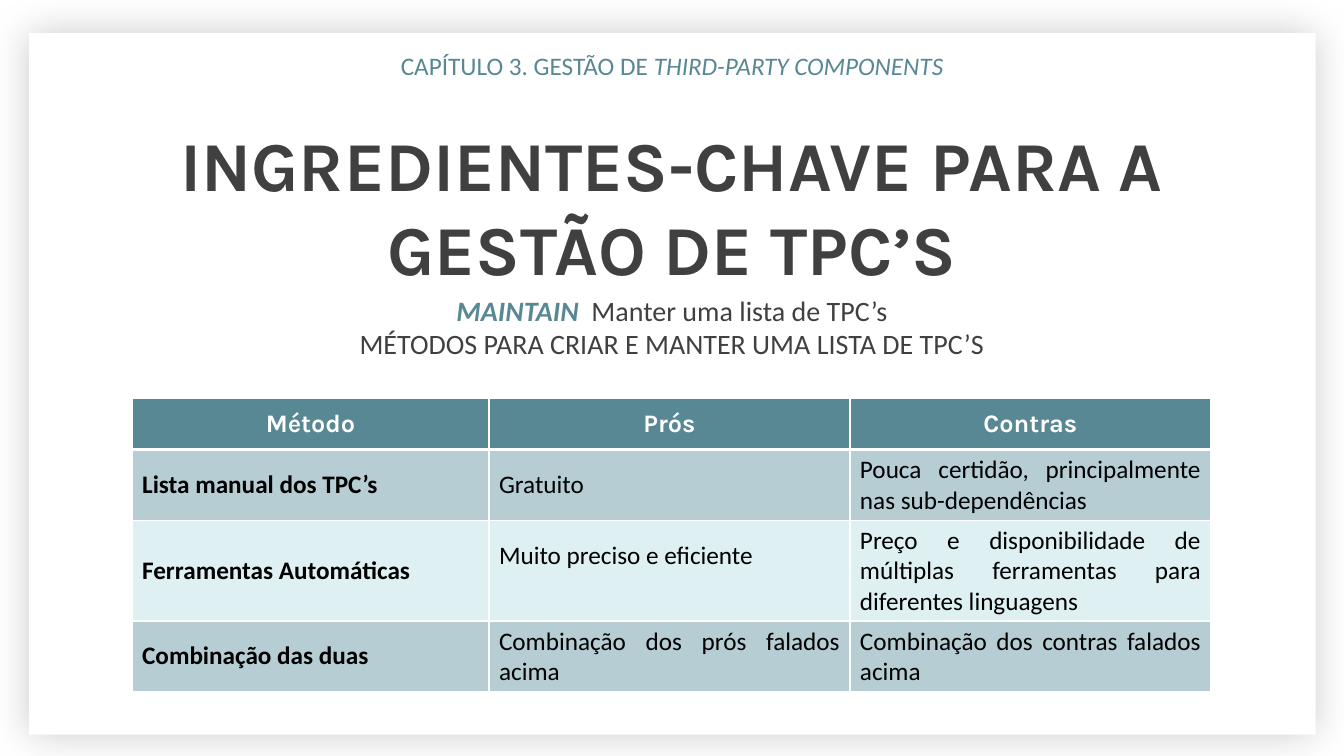
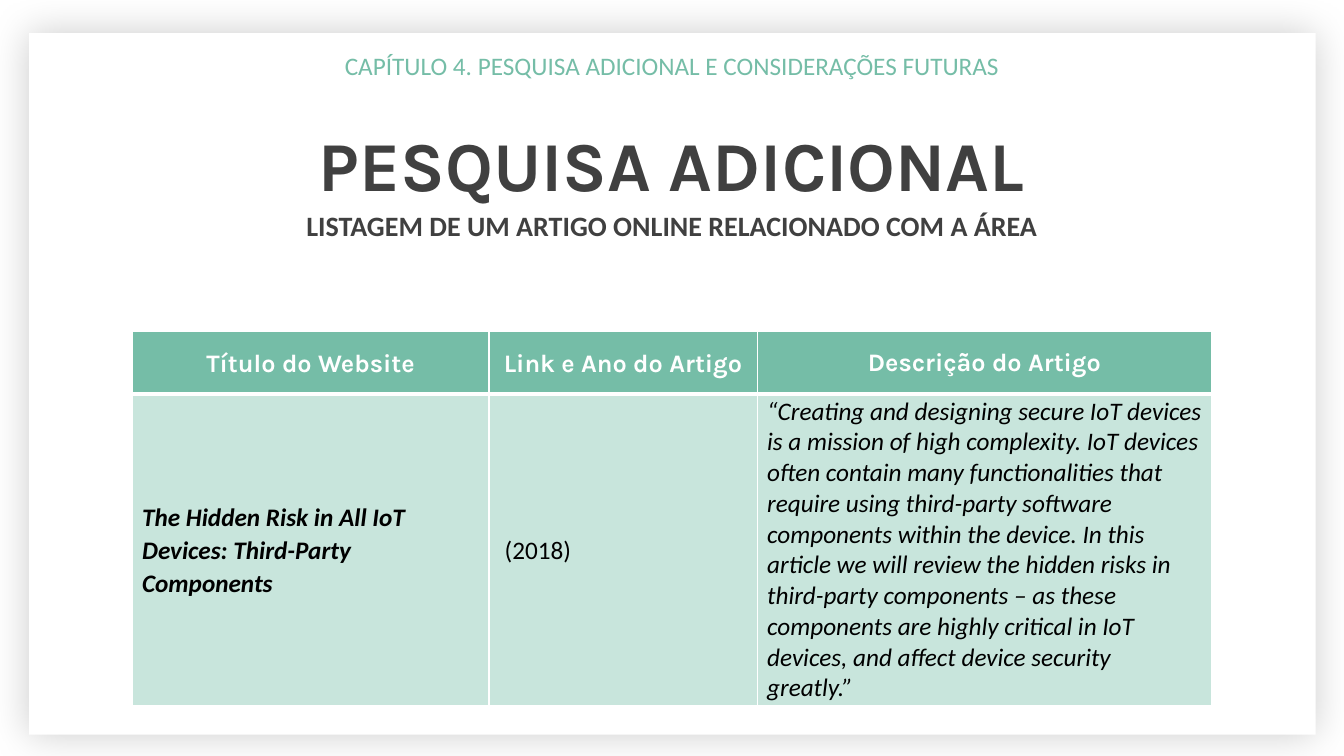
from lxml import etree
from pptx import Presentation
from pptx.dml.color import RGBColor
from pptx.enum.shapes import MSO_SHAPE
from pptx.enum.text import MSO_ANCHOR, PP_ALIGN
from pptx.oxml import parse_xml
from pptx.util import Inches, Pt

CENTER, JUSTIFY, LEFT = PP_ALIGN.CENTER, PP_ALIGN.JUSTIFY, PP_ALIGN.LEFT
TOP, MIDDLE = MSO_ANCHOR.TOP, MSO_ANCHOR.MIDDLE
RECTANGLE = MSO_SHAPE.RECTANGLE
TITLE_ONLY = 5
DRAWING_NS = "http://schemas.openxmlformats.org/drawingml/2006/main"
COLORS = {
    "white": "FFFFFF", "black": "000000", "dark": "404040",
    "teal": "588894", "teal_mid": "B5CDD3", "teal_light": "DEF0F2",
    "green": "75BDA7", "green_light": "C8E5DC",
}
HEADING_FONT, BODY_FONT = "Karla", "Calibri"
CARD_SHADOW = (
    f'<a:effectLst xmlns:a="{DRAWING_NS}">'
    '<a:outerShdw blurRad="368300" dist="0" dir="0" algn="ctr" rotWithShape="0">'
    f'<a:srgbClr val="{COLORS["black"]}"><a:alpha val="20000"/></a:srgbClr>'
    '</a:outerShdw></a:effectLst>'
)


def write(frame, paragraphs, align=CENTER, anchor=TOP, spacing=None, **base):
    frame.word_wrap = True
    frame.vertical_anchor = anchor
    if isinstance(paragraphs, str):
        paragraphs = [[(paragraphs, {})]]
    for index, runs in enumerate(paragraphs):
        paragraph = frame.paragraphs[0] if index == 0 else frame.add_paragraph()
        paragraph.alignment = align
        if spacing:
            paragraph.line_spacing = spacing
        for text, changes in runs:
            style = {"font": BODY_FONT, "size": 18, "color": "black", **base, **changes}
            run = paragraph.add_run()
            run.text = text
            run.font.name = style["font"]
            run.font.size = Pt(style["size"])
            run.font.bold = style.get("bold", False)
            run.font.italic = style.get("italic", False)
            run.font.color.rgb = RGBColor.from_string(COLORS[style["color"]])


def fill_cell(cell, color, borders):
    properties = cell._tc.get_or_add_tcPr()
    for side, width in borders.items():
        line = etree.SubElement(properties, f"{{{DRAWING_NS}}}ln{side}", w=str(Pt(width)))
        solid = etree.SubElement(line, f"{{{DRAWING_NS}}}solidFill")
        etree.SubElement(solid, f"{{{DRAWING_NS}}}srgbClr", val=COLORS["white"])
    cell.fill.solid()
    cell.fill.fore_color.rgb = RGBColor.from_string(COLORS[color])


slides = [
    {
        "accent": "teal",
        "chapter": [[("CAPÍTULO 3. GESTÃO DE ", {}),
                     ("THIRD-PARTY COMPONENTS", {"italic": True})]],
        "title": "INGREDIENTES-CHAVE PARA A GESTÃO DE TPC’S",
        "title_height": 1.78,
        "subtitle": [
            [("MAINTAIN ", {"color": "teal", "bold": True, "italic": True}),
             (" Manter uma lista de TPC’s", {})],
            [("MÉTODOS PARA CRIAR E MANTER UMA LISTA DE TPC’S", {})],
        ],
        "subtitle_top": 2.86, "subtitle_height": 0.77,
        "table_top": 3.95,
        "columns": [3.54, 3.58, 3.58],
        "row_heights": [0.51, 0.69, 1.0, 0.7],
        "bands": ["teal_mid", "teal_light"],
        "padding": 0.05,
        "rows": [
            ["Método", "Prós", "Contras"],
            ["Lista manual dos TPC’s", "Gratuito",
             "Pouca certidão, principalmente nas sub-dependências"],
            ["Ferramentas Automáticas", "Muito preciso e eficiente",
             "Preço e disponibilidade de múltiplas ferramentas para diferentes linguagens"],
            ["Combinação das duas", "Combinação dos prós falados acima",
             "Combinação dos contras falados acima"],
        ],
        "column_styles": [{"align": JUSTIFY, "bold": True}, {"align": JUSTIFY}, {"align": JUSTIFY}],
        "bottom_padding": {(2, 1): 0.35},
    },
    {
        "accent": "green",
        "chapter": "CAPÍTULO 4. PESQUISA ADICIONAL E CONSIDERAÇÕES FUTURAS",
        "title": "PESQUISA ADICIONAL",
        "title_height": 0.94,
        "subtitle": [[("LISTAGEM DE UM ARTIGO ONLINE RELACIONADO COM A ÁREA", {"bold": True})]],
        "subtitle_top": 2.02, "subtitle_height": 0.44,
        "table_top": 3.29,
        "columns": [3.54, 2.66, 4.51],
        "row_heights": [0.62, 3.09],
        "bands": ["green_light"],
        "padding": 0,
        "rows": [
            ["Título do Website", "Link e Ano do Artigo", "Descrição do Artigo"],
            ["The Hidden Risk in All IoT Devices: Third-Party Components", " (2018)",
             "“Creating and designing secure IoT devices is a mission of high complexity. "
             "IoT devices often contain many functionalities that require using third-party "
             "software components within the device. In this article we will review the "
             "hidden risks in third-party components – as these components are highly "
             "critical in IoT devices, and affect device security greatly.”"],
        ],
        "column_styles": [
            {"align": LEFT, "bold": True, "italic": True, "spacing": 1.07},
            {"align": LEFT, "spacing": 1.07},
            {"align": LEFT, "italic": True},
        ],
        "bottom_padding": {},
    },
]

deck = Presentation()
deck.slide_width, deck.slide_height = Inches(13.33), Inches(7.5)

for content in slides:
    slide = deck.slides.add_slide(deck.slide_layouts[TITLE_ONLY])
    accent = content["accent"]

    card = slide.shapes.add_shape(
        RECTANGLE, Inches(0.29), Inches(0.33), Inches(12.76), Inches(6.96))
    card.fill.solid()
    card.fill.fore_color.rgb = RGBColor.from_string(COLORS["white"])
    card.line.fill.background()
    card._element.spPr.append(parse_xml(CARD_SHADOW))
    slide.shapes._spTree.insert(2, card._element)

    chapter = slide.shapes.add_textbox(Inches(2.87), Inches(0.45), Inches(7.59), Inches(0.4))
    write(chapter.text_frame, content["chapter"], color=accent)

    title = slide.shapes.title
    title.left, title.top = Inches(1.5), Inches(1.16)
    title.width, title.height = Inches(10.33), Inches(content["title_height"])
    write(title.text_frame, content["title"], font=HEADING_FONT, size=50, color="dark", bold=True)

    subtitle = slide.shapes.add_textbox(
        Inches(1.56), Inches(content["subtitle_top"]),
        Inches(10.21), Inches(content["subtitle_height"]))
    write(subtitle.text_frame, content["subtitle"], size=20, color="dark")

    rows, columns, heights = content["rows"], content["columns"], content["row_heights"]
    table = slide.shapes.add_table(
        len(rows), len(columns), Inches(1.31), Inches(content["table_top"]),
        Inches(sum(columns)), Inches(sum(heights))).table
    for column, width in zip(table.columns, columns):
        column.width = Inches(width)
    for row_index, texts in enumerate(rows):
        table.rows[row_index].height = Inches(heights[row_index])
        is_header = row_index == 0
        bands = content["bands"]
        color = accent if is_header else bands[(row_index - 1) % len(bands)]
        borders = {"L": 1, "R": 1, "T": 3 if row_index == 1 else 1, "B": 3 if is_header else 1}
        for column_index, text in enumerate(texts):
            cell = table.cell(row_index, column_index)
            fill_cell(cell, color, borders)
            padding = content["padding"]
            cell.margin_top = Inches(padding)
            cell.margin_bottom = Inches(
                content["bottom_padding"].get((row_index, column_index), padding))
            cell.vertical_anchor = MIDDLE
            style = content["column_styles"][column_index]
            if is_header:
                style = {"font": HEADING_FONT, "color": "white", "bold": True,
                         "spacing": style.get("spacing")}
            write(cell.text_frame, text, anchor=None, **style)

deck.save("out.pptx")
